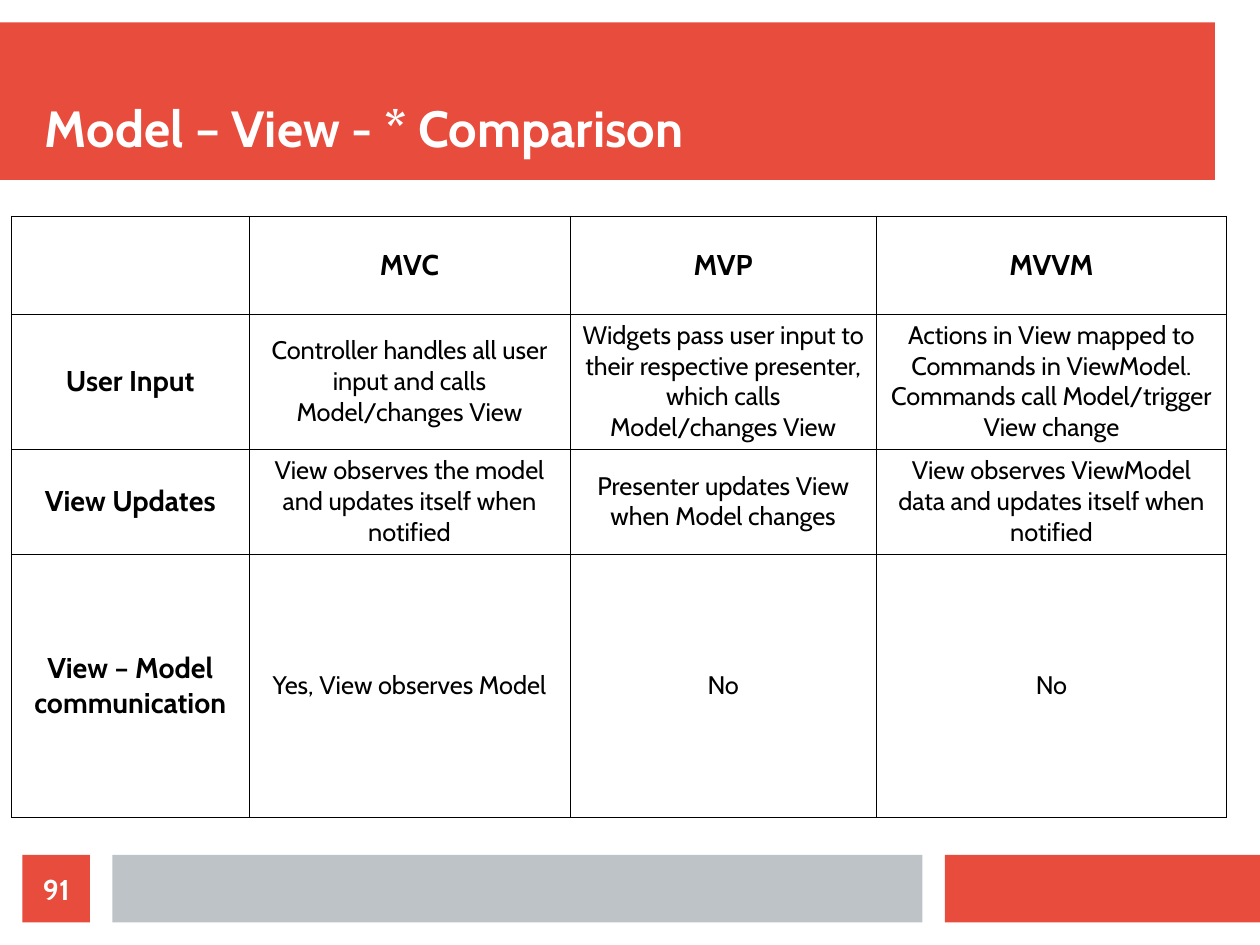
from dataclasses import dataclass

from lxml import etree
from pptx import Presentation
from pptx.dml.color import RGBColor
from pptx.enum.shapes import MSO_SHAPE
from pptx.enum.text import MSO_ANCHOR, PP_ALIGN
from pptx.oxml.ns import qn
from pptx.util import Emu, Pt

RECT = MSO_SHAPE.RECTANGLE
MIDDLE, BOTTOM = MSO_ANCHOR.MIDDLE, MSO_ANCHOR.BOTTOM
LEFT, CENTER = PP_ALIGN.LEFT, PP_ALIGN.CENTER
EMU_PER_PX = 4000
SLIDE_W, SLIDE_H = 2520, 1890
GAP = 45


@dataclass(frozen=True)
class Theme:
    """Colours, font and type sizes of the slide."""
    red: str = "E74C3C"
    gray: str = "BDC3C7"
    white: str = "FFFFFF"
    black: str = "000000"
    font: str = "Cabin"
    title: int = 32
    heading: int = 18
    body: int = 16
    border: float = 0.57


THEME = Theme()
COLUMN_WIDTHS = [475, 642, 613, 700]
ROW_HEIGHTS = [196, 270, 210, 527]
COMPARISON = [
    ["", "MVC", "MVP", "MVVM"],
    ["User Input",
     "Controller handles all user input and calls Model/changes View",
     "Widgets pass user input to their respective presenter, which calls Model/changes View",
     "Actions in View mapped to Commands in ViewModel. Commands call Model/trigger View change"],
    ["View Updates",
     "View observes the model and updates itself when notified",
     "Presenter updates View when Model changes",
     "View observes ViewModel data and updates itself when notified"],
    ["View – Model communication", "Yes, View observes Model", "No", "No"],
]


def px(n):
    """Turn px into EMU."""
    return Emu(n * EMU_PER_PX)


def style_paragraph(p, size, color, bold, align):
    """Set the font and alignment of a paragraph."""
    p.alignment = align
    p.font.name = THEME.font
    p.font.size = Pt(size)
    p.font.bold = bold
    p.font.color.rgb = RGBColor.from_string(color)


def add_block(slide, box, color):
    """Add a plain filled rectangle."""
    sp = slide.shapes.add_shape(RECT, *map(px, box))
    sp.shadow.inherit = False
    sp.fill.solid()
    sp.fill.fore_color.rgb = RGBColor.from_string(color)
    sp.line.fill.background()
    return sp


def set_text(sp, text, size, anchor, align):
    """Write bold white text without insets into a shape."""
    tf = sp.text_frame
    tf.word_wrap = True
    tf.vertical_anchor = anchor
    tf.margin_left = tf.margin_right = tf.margin_top = tf.margin_bottom = 0
    p = tf.paragraphs[0]
    p.text = text
    style_paragraph(p, size, THEME.white, True, align)


def add_header(slide, box, title):
    """Add the title band with its title at the lower left."""
    x, y, w, h = box
    add_block(slide, box, THEME.red)
    indent = 2 * GAP
    sp = slide.shapes.add_textbox(px(x + indent), px(y + GAP), px(w - indent), px(h - 2 * GAP))
    set_text(sp, title, THEME.title, BOTTOM, LEFT)


def add_footer(slide, box, number):
    """Add the page number square and the two footer bars."""
    x, y, w, h = box
    gray_x, gray_w = x + h + GAP, 1620
    red_x = gray_x + gray_w + GAP
    add_block(slide, (red_x, y, x + w - red_x, h), THEME.red)
    add_block(slide, (gray_x, y, gray_w, h), THEME.gray)
    sp = add_block(slide, (x, y, h, h), THEME.red)
    set_text(sp, number, THEME.heading, MIDDLE, CENTER)


def add_borders(cell):
    """Draw a thin solid line on all four sides of a cell."""
    tcPr = cell._tc.get_or_add_tcPr()
    for i, side in enumerate(("a:lnL", "a:lnR", "a:lnT", "a:lnB")):
        ln = etree.Element(qn(side), w=str(int(Pt(THEME.border))))
        fill = etree.SubElement(ln, qn("a:solidFill"))
        etree.SubElement(fill, qn("a:srgbClr"), val=THEME.black)
        tcPr.insert(i, ln)


def add_comparison(slide, box, rows):
    """Add the bordered table with bold first row and column."""
    frame = slide.shapes.add_table(len(rows), len(rows[0]), *map(px, box))
    table = frame.table
    table.first_row = table.horz_banding = False
    for column, width in zip(table.columns, COLUMN_WIDTHS):
        column.width = px(width)
    for row, height in zip(table.rows, ROW_HEIGHTS):
        row.height = px(height)
    for r, texts in enumerate(rows):
        for c, text in enumerate(texts):
            cell = table.cell(r, c)
            cell.fill.background()
            cell.vertical_anchor = MIDDLE
            add_borders(cell)
            heading = r == 0 or c == 0
            size = THEME.heading if heading else THEME.body
            p = cell.text_frame.paragraphs[0]
            p.text = text
            style_paragraph(p, size, THEME.black, heading, CENTER)


def main():
    """Build and save the slide."""
    prs = Presentation()
    prs.slide_width, prs.slide_height = px(SLIDE_W), px(SLIDE_H)
    slide = prs.slides.add_slide(prs.slide_layouts[6])
    add_header(slide, (0, GAP, 2430, 315), "Model – View - * Comparison")
    add_comparison(slide, (23, 432, sum(COLUMN_WIDTHS), sum(ROW_HEIGHTS)), COMPARISON)
    add_footer(slide, (GAP, 1710, SLIDE_W - GAP, 135), "91")
    prs.save("out.pptx")


if __name__ == "__main__":
    main()
